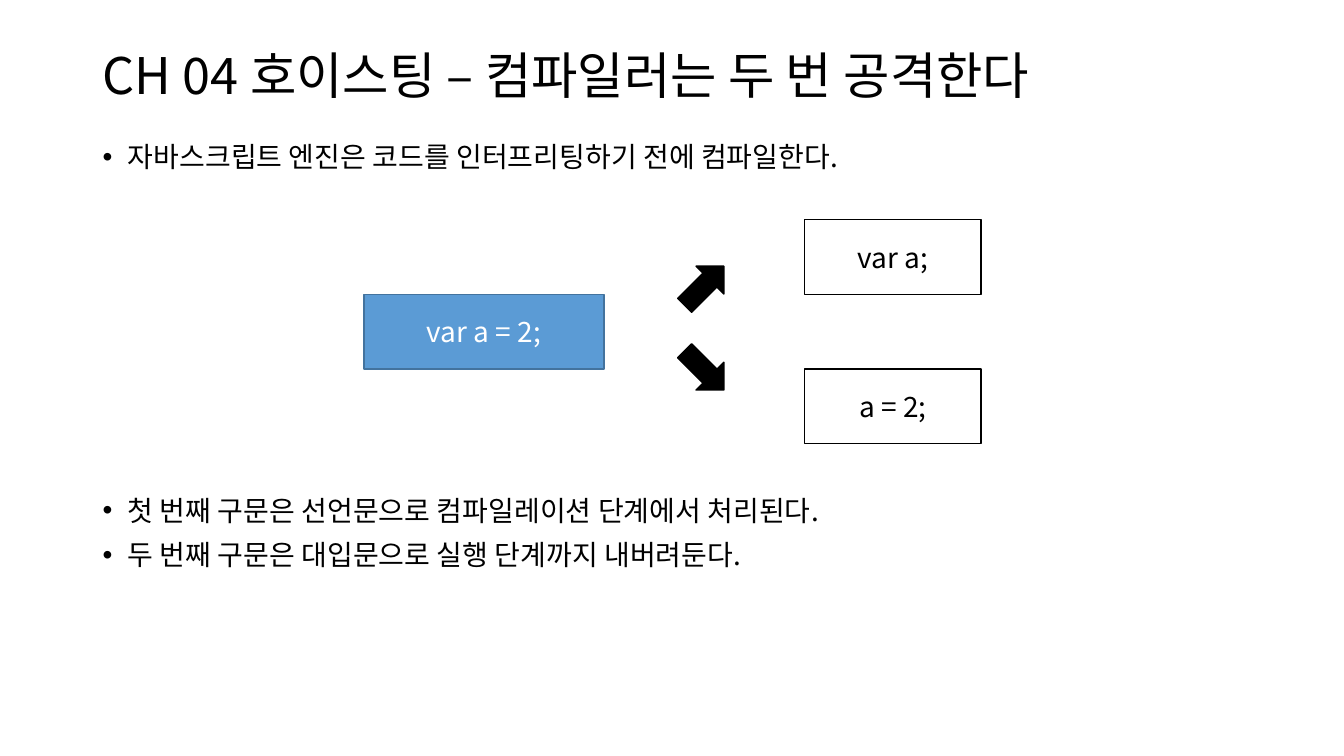
"""Build a slide on how the compiler splits a JavaScript declaration."""
from lxml.etree import SubElement
from pptx import Presentation
from pptx.dml.color import RGBColor
from pptx.enum.shapes import MSO_SHAPE
from pptx.enum.text import MSO_ANCHOR, PP_ALIGN
from pptx.oxml.ns import qn
from pptx.util import Inches, Pt

FONT = "Noto Sans CJK KR"
BLACK = RGBColor(0x00, 0x00, 0x00)
WHITE = RGBColor(0xFF, 0xFF, 0xFF)
BLUE = RGBColor(0x5B, 0x9B, 0xD5)
DARK_BLUE = RGBColor(0x43, 0x73, 0x9E)

TITLE = "CH 04 호이스팅 – 컴파일러는 두 번 공격한다"
BULLET_GROUPS = [
    (1.37, ["자바스크립트 엔진은 코드를 인터프리팅하기 전에 컴파일한다."]),
    (4.88, ["첫 번째 구문은 선언문으로 컴파일레이션 단계에서 처리된다.",
            "두 번째 구문은 대입문으로 실행 단계까지 내버려둔다."]),
]
BULLET_PITCH = 0.44
MARGIN, TEXT_WIDTH = 0.92, 11.5

BOX_HEIGHT = 0.74
STATEMENT_TOP = 2.92
STATEMENTS = [
    ("var a = 2;", 3.61, STATEMENT_TOP, 2.38, BLUE, DARK_BLUE, WHITE),
    ("a = 2;", 7.98, STATEMENT_TOP + BOX_HEIGHT, 1.75, WHITE, BLACK, BLACK),
    ("var a;", 7.98, STATEMENT_TOP - BOX_HEIGHT, 1.75, WHITE, BLACK, BLACK),
]
ARROWS = [(3.48, 45), (2.64, 315)]


def format_text(paragraph, size, color):
    for run in paragraph.runs:
        run.font.size = Pt(size)
        run.font.name = FONT
        run.font.color.rgb = color
        east_asian = SubElement(run.font._element, qn("a:ea"))
        east_asian.set("typeface", FONT)


def add_text(slide, top, height, lines):
    box = slide.shapes.add_textbox(
        Inches(MARGIN), Inches(top), Inches(TEXT_WIDTH), Inches(height))
    box.text_frame.word_wrap = True
    box.text_frame.text = "\n".join(lines)
    for paragraph in box.text_frame.paragraphs:
        paragraph.line_spacing = 0.9
    return box.text_frame


def add_title(slide):
    text_frame = add_text(slide, 0.4, 0.76, [TITLE])
    text_frame.vertical_anchor = MSO_ANCHOR.MIDDLE
    format_text(text_frame.paragraphs[0], 36, BLACK)


def add_bullets(slide, top, lines):
    text_frame = add_text(slide, top, BULLET_PITCH * len(lines), lines)
    for paragraph in text_frame.paragraphs:
        paragraph.space_before = Pt(10)
        format_text(paragraph, 20, BLACK)
        properties = paragraph._p.get_or_add_pPr()
        properties.set("marL", str(Inches(0.25)))
        properties.set("indent", str(Inches(-0.25)))
        SubElement(properties, qn("a:buFont")).set("typeface", "Arial")
        SubElement(properties, qn("a:buChar")).set("char", "•")


def add_block(slide, preset, left, top, width, height, fill, line):
    shape = slide.shapes.add_shape(
        preset, Inches(left), Inches(top), Inches(width), Inches(height))
    shape.shadow.inherit = False
    shape.fill.solid()
    shape.fill.fore_color.rgb = fill
    shape.line.color.rgb = line
    shape.line.width = Pt(1)
    return shape


def add_statement(slide, text, left, top, width, fill, line, color):
    shape = add_block(slide, MSO_SHAPE.RECTANGLE, left, top, width,
                      BOX_HEIGHT, fill, line)
    shape.text_frame.text = text
    shape.text_frame.vertical_anchor = MSO_ANCHOR.MIDDLE
    paragraph = shape.text_frame.paragraphs[0]
    paragraph.alignment = PP_ALIGN.CENTER
    format_text(paragraph, 20, color)


def main():
    presentation = Presentation()
    presentation.slide_width = Inches(13.33)
    presentation.slide_height = Inches(7.5)
    slide = presentation.slides.add_slide(presentation.slide_layouts[6])
    add_title(slide)
    for top, lines in BULLET_GROUPS:
        add_bullets(slide, top, lines)
    for statement in STATEMENTS:
        add_statement(slide, *statement)
    for top, rotation in ARROWS:
        arrow = add_block(slide, MSO_SHAPE.RIGHT_ARROW, 6.71, top, 0.55, 0.39,
                          BLACK, BLACK)
        arrow.rotation = rotation
    presentation.save("out.pptx")


if __name__ == "__main__":
    main()
